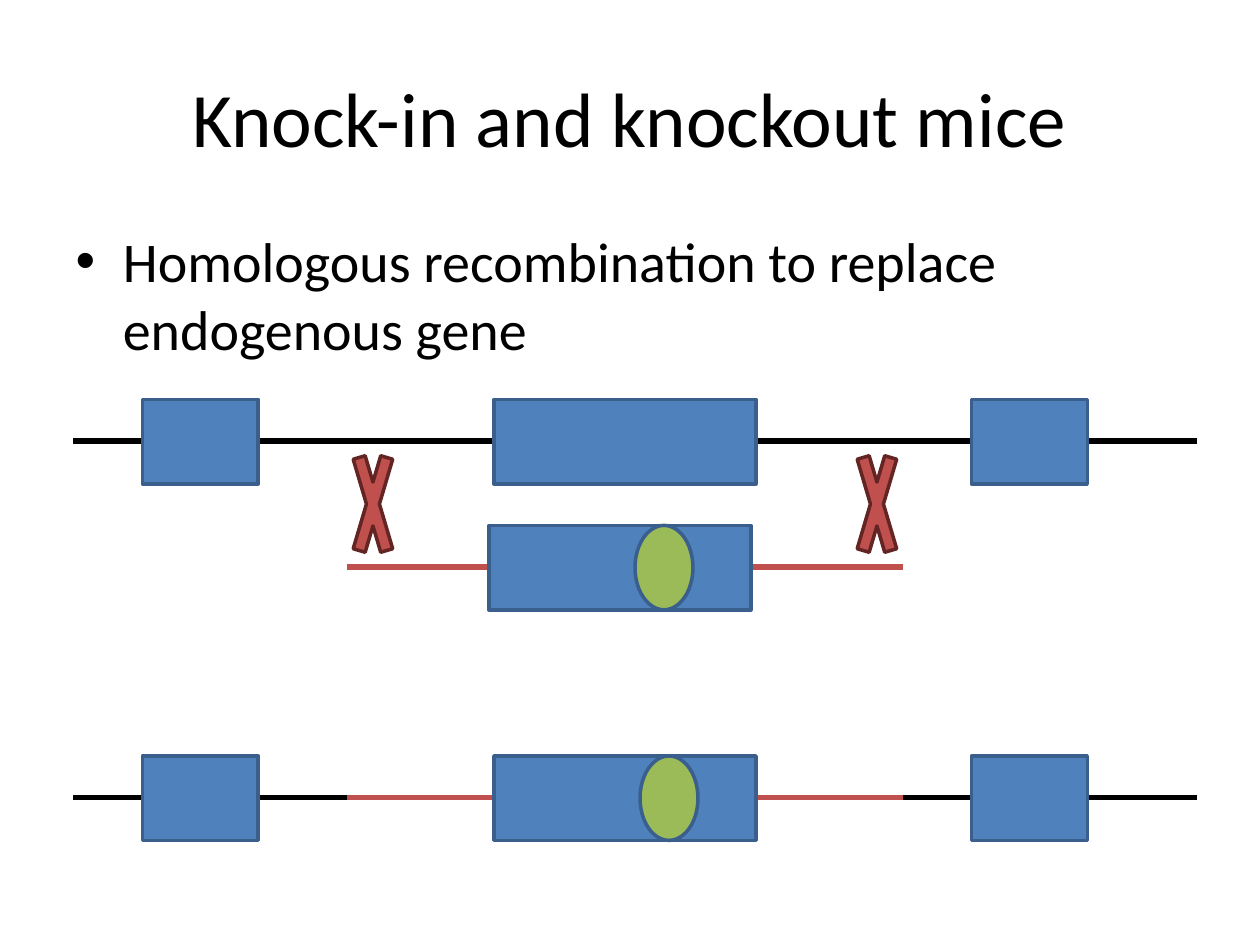
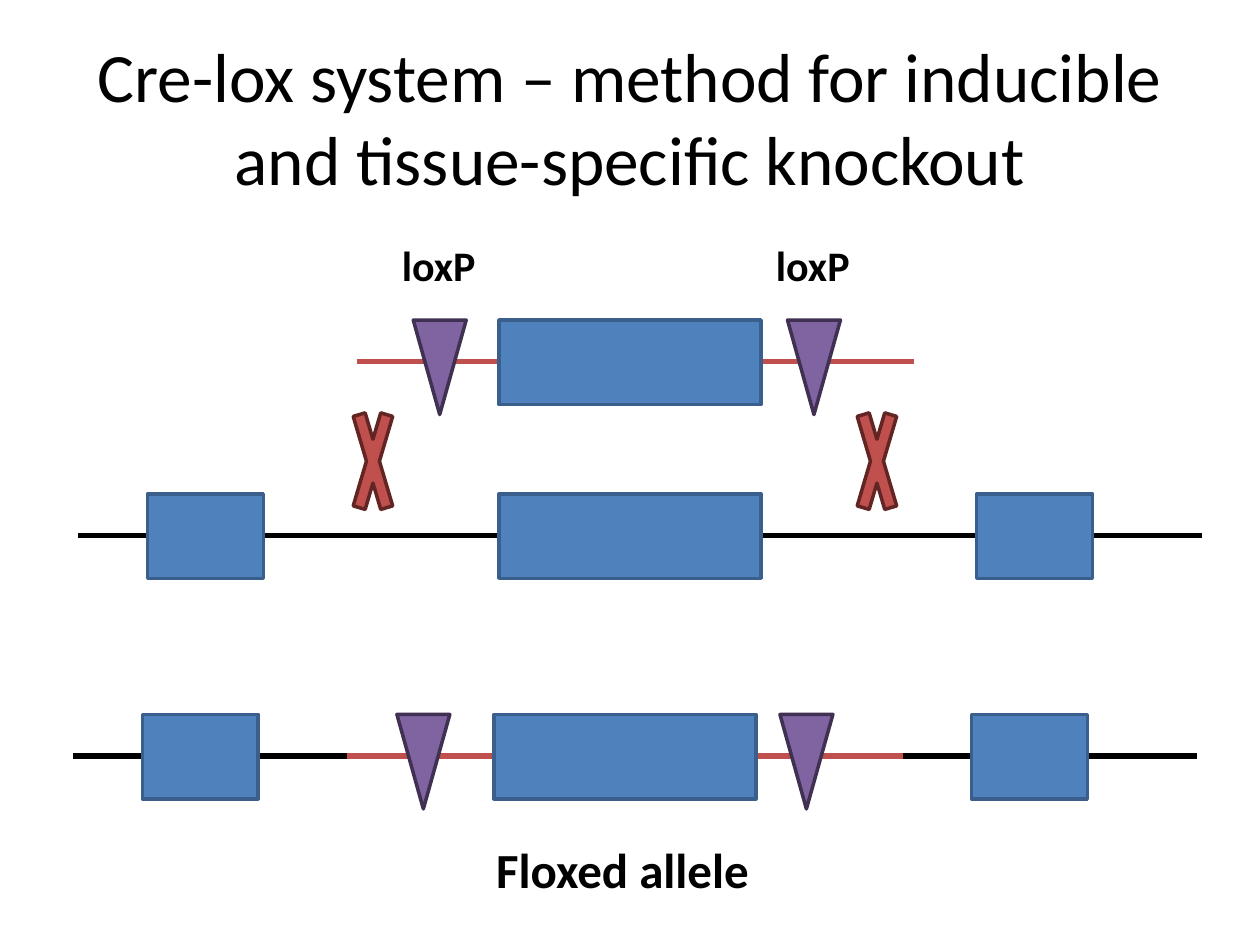
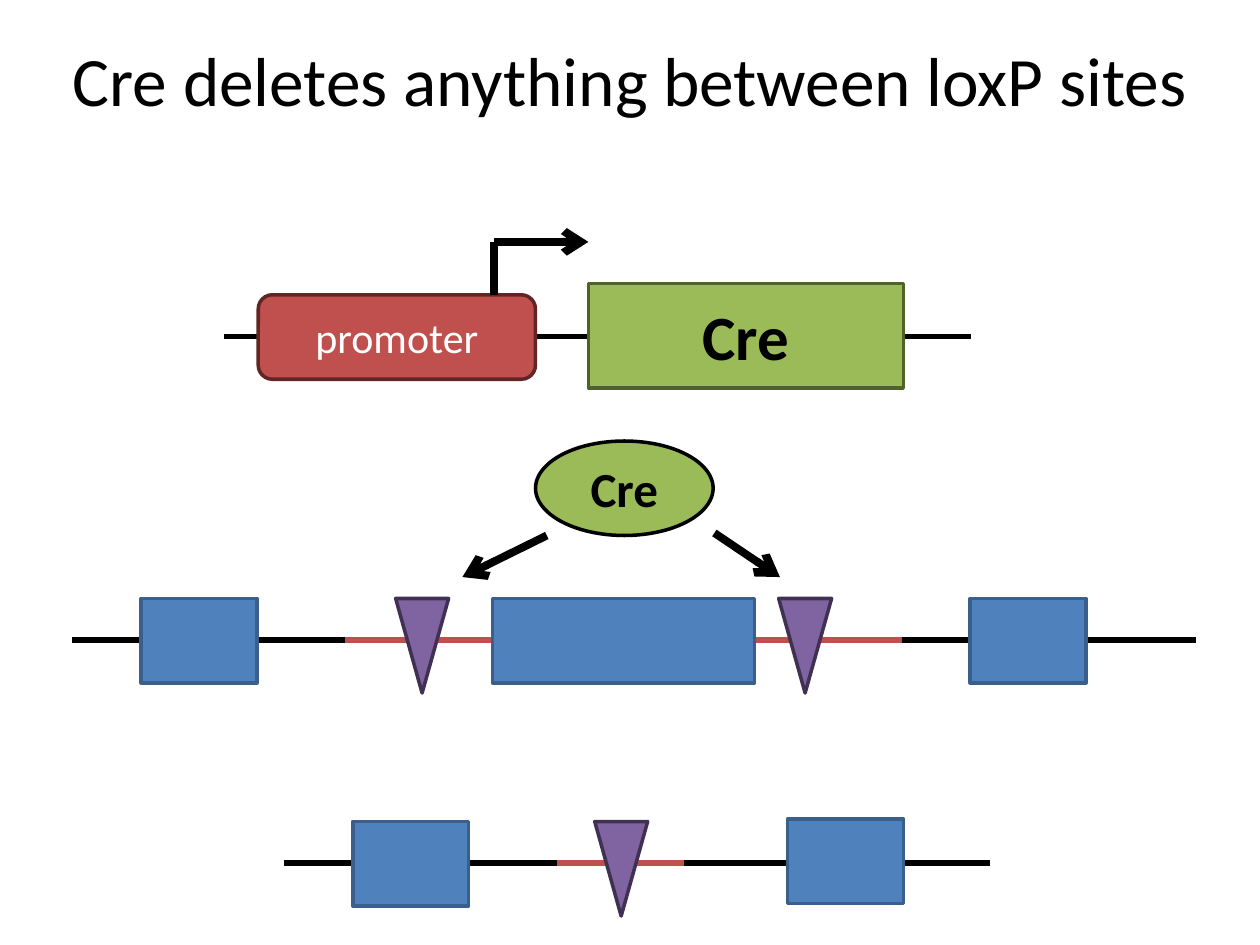
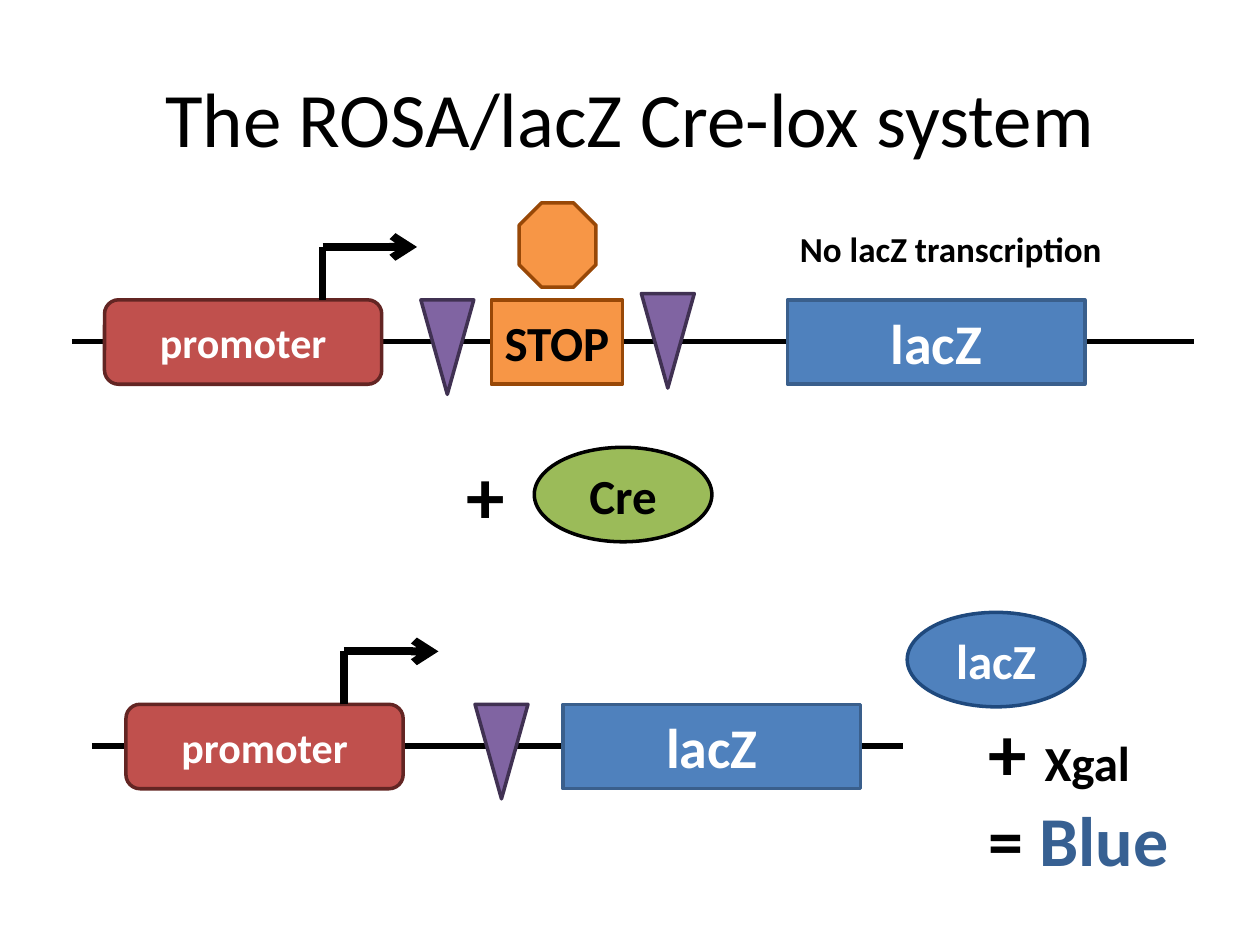
from lxml import etree
from pptx import Presentation
from pptx.dml.color import RGBColor
from pptx.enum.shapes import MSO_CONNECTOR, MSO_SHAPE as SHAPE
from pptx.enum.text import MSO_ANCHOR, MSO_AUTO_SIZE, PP_ALIGN
from pptx.oxml.ns import qn
from pptx.util import Inches, Pt

FONT = "Calibri"
COLORS = {
    "black": "000000", "white": "FFFFFF", "navy": "1F497D", "result": "376092",
    "gene": "4F81BD", "gene_line": "3A5F8C",
    "green": "9BBB59", "green_line": "4F6228",
    "red": "C0504D", "red_line": "632523",
    "lox": "8064A2", "lox_line": "403152",
    "stop": "F79646", "stop_line": "984807",
}
BOX_H = 0.67
HALF_H = 0.33
EXON_W = 0.92
GENE_W = 2.08
LACZ_W = 2.36


def rgb(name):
    """Look a colour up by name."""
    return RGBColor.from_string(COLORS[name])


def style_run(r, size, color="black", bold=False):
    """Give a run its font, size, colour and weight."""
    r.font.name, r.font.size, r.font.bold = FONT, Pt(size), bold
    r.font.color.rgb = rgb(color)


def add_shape(s, kind, x, y, w, h, color, line=None, text="", size=28, ink="black", bold=True):
    """Add a filled preset shape with optional centred text."""
    sp = s.shapes.add_shape(kind, Inches(x), Inches(y), Inches(w), Inches(h))
    sp.shadow.inherit = False
    sp.fill.solid()
    sp.fill.fore_color.rgb = rgb(color)
    sp.line.color.rgb = rgb(line or f"{color}_line")
    sp.line.width = Pt(2)
    if text:
        tf = sp.text_frame
        tf.text = text
        tf.vertical_anchor = MSO_ANCHOR.MIDDLE
        p = tf.paragraphs[0]
        p.alignment = PP_ALIGN.CENTER
        style_run(p.runs[0], size, ink, bold)


def add_line(s, x1, y1, x2, y2, color="black", width=3, arrow=False):
    """Add a straight line, with an arrowhead at its end if asked."""
    cn = s.shapes.add_connector(MSO_CONNECTOR.STRAIGHT, Inches(x1), Inches(y1), Inches(x2), Inches(y2))
    cn.line.color.rgb = rgb(color)
    cn.line.width = Pt(width)
    if arrow:
        etree.SubElement(cn.line._get_or_add_ln(), qn("a:tailEnd"), type="arrow")
    etree.SubElement(cn._element.spPr, qn("a:effectLst"))


def add_label(s, x, y, w, h, *rows):
    """Add bold unwrapped text; each row is a list of (text, size, colour)."""
    tf = s.shapes.add_textbox(Inches(x), Inches(y), Inches(w), Inches(h)).text_frame
    tf.word_wrap = False
    tf.auto_size = MSO_AUTO_SIZE.SHAPE_TO_FIT_TEXT
    for i, row in enumerate(rows):
        p = tf.add_paragraph() if i else tf.paragraphs[0]
        for text, size, color in row:
            r = p.add_run()
            r.text = text
            style_run(r, size, color, True)


def add_slide(prs, title, size=44, box=(0.5, 0.3, 9, 1.25), layout=5):
    """Add a slide and place its title."""
    s = prs.slides.add_slide(prs.slide_layouts[layout])
    sp = s.shapes.title
    sp.left, sp.top, sp.width, sp.height = map(Inches, box)
    tf = sp.text_frame
    tf.text = title
    tf.auto_size = MSO_AUTO_SIZE.NONE
    tf.vertical_anchor = MSO_ANCHOR.MIDDLE
    tf.paragraphs[0].alignment = PP_ALIGN.CENTER
    style_run(tf.paragraphs[0].runs[0], size)
    return s


def exon(s, x, y, w=EXON_W):
    """Draw a coding box centred on the strand at height y."""
    add_shape(s, SHAPE.RECTANGLE, x, y - HALF_H, w, BOX_H, "gene")


def lox_site(s, x, y):
    """Draw a loxP triangle on the strand at height y."""
    add_shape(s, SHAPE.FLOWCHART_MERGE, x, y - HALF_H, 0.42, 0.75, "lox")


def lacz_gene(s, x, y):
    """Draw the lacZ gene on the strand at height y."""
    add_shape(s, SHAPE.RECTANGLE, x, y - HALF_H, LACZ_W, BOX_H, "gene", text="lacZ", size=32, ink="white")


def oval(s, x, y, text, color, line, ink="black"):
    """Draw a protein as a labelled oval."""
    add_shape(s, SHAPE.OVAL, x, y, 1.41, 0.75, color, line, text, ink=ink)


def donor(s, x, y, gene_dx=1.13, lox_dx=(), mutated=False):
    """Draw the red targeting construct from x, with its gene and marks."""
    add_line(s, x, y, x + 4.42, y, "red")
    exon(s, x + gene_dx, y, GENE_W)
    if mutated:
        add_shape(s, SHAPE.OVAL, x + gene_dx + 1.16, y - HALF_H, 0.46, BOX_H, "green", "gene_line")
    for dx in lox_dx:
        lox_site(s, x + dx, y)


def allele(s, x, y, targeted=True, **marks):
    """Draw the chromosome from x, with the construct inserted if targeted."""
    add_line(s, x, y, x + 8.92, y)
    if targeted:
        donor(s, x + 2.17, y, 1.17, **marks)
    else:
        exon(s, x + 3.34, y, GENE_W)
    for dx in (0.55, 7.13):
        exon(s, x + dx, y)


def crossovers(s, y):
    """Draw the two recombination crosses."""
    for x in (2.75, 6.75):
        add_shape(s, SHAPE.MATH_MULTIPLY, x, y, 0.42, 1.42, "red")


def promoter(s, x, y, start_dx=1.73, bold=True):
    """Draw a promoter on the strand with its transcription start arrow."""
    top, start = y - HALF_H, x + start_dx
    add_shape(s, SHAPE.ROUNDED_RECTANGLE, x, top, 2.2, BOX_H, "red",
              text="promoter", size=24, ink="white", bold=bold)
    add_line(s, start, top, start, top - 0.42, width=4.5)
    add_line(s, start, top - 0.42, start + 0.75, top - 0.42, width=4.5, arrow=True)


def knock_in_slide(prs):
    """Show homologous recombination."""
    s = add_slide(prs, "Knock-in and knockout mice", layout=1)
    body = s.placeholders[1]
    body.left, body.top, body.width, body.height = map(Inches, (0.5, 1.75, 9, 4.95))
    body.text_frame.text = "Homologous recombination to replace endogenous gene"
    style_run(body.text_frame.paragraphs[0].runs[0], 32)
    allele(s, 0.58, 3.5, targeted=False)
    donor(s, 2.75, 4.5, mutated=True)
    crossovers(s, 3.29)
    allele(s, 0.58, 6.33, mutated=True)


def cre_lox_slide(prs):
    """Show how a floxed allele is made."""
    s = add_slide(prs, "Cre-lox system – method for inducible and tissue-specific knockout", 39.6)
    allele(s, 0.62, 4.25, targeted=False)
    donor(s, 2.83, 2.87, lox_dx=(0.45, 3.42))
    crossovers(s, 2.95)
    allele(s, 0.58, 6, lox_dx=(0.4, 3.44))
    for x in (3.09, 6.06):
        add_label(s, x, 1.85, 0.79, 0.5, [("loxP", 24, "black")])
    add_label(s, 3.84, 6.61, 2.23, 0.57, [("Floxed allele", 28, "black")])


def deletion_slide(prs):
    """Show Cre cutting out the gene between loxP sites."""
    s = add_slide(prs, "Cre deletes anything between loxP sites", 39.6, (0, 0, 10, 1.25))
    allele(s, 0.57, 5.08, lox_dx=(0.4, 3.44))
    add_line(s, 1.78, 2.67, 7.71, 2.67)
    add_shape(s, SHAPE.RECTANGLE, 4.67, 2.25, 2.5, 0.83, "green", text="Cre", size=36)
    promoter(s, 2.05, 2.67, 1.87, bold=False)
    oval(s, 4.25, 3.5, "Cre", "green", "black")
    add_line(s, 5.67, 4.23, 6.19, 4.58, width=4.5, arrow=True)
    add_line(s, 4.34, 4.25, 3.67, 4.58, width=4.5, arrow=True)
    add_line(s, 2.25, 6.85, 7.86, 6.85)
    add_line(s, 4.42, 6.85, 5.43, 6.85, "red")
    exon(s, 2.8, 6.85)
    exon(s, 6.25, 6.83)
    lox_site(s, 4.72, 6.85)


def reporter_slide(prs):
    """Show the lacZ reporter before and after Cre."""
    s = add_slide(prs, "The ROSA/lacZ Cre-lox system")
    add_line(s, 0.57, 2.71, 9.48, 2.71)
    add_shape(s, SHAPE.RECTANGLE, 3.9, 2.38, 1.04, BOX_H, "stop", text="STOP")
    lacz_gene(s, 6.25, 2.71)
    lox_site(s, 3.34, 2.71)
    lox_site(s, 5.09, 2.66)
    promoter(s, 0.83, 2.71)
    add_shape(s, SHAPE.OCTAGON, 4.12, 1.61, 0.61, BOX_H, "stop")
    add_label(s, 6.25, 1.76, 2.61, 0.44, [("No lacZ transcription", 20, "black")])
    oval(s, 4.24, 3.55, "Cre", "green", "black")
    add_label(s, 3.6, 3.5, 0.51, 0.84, [("+", 44, "black")])

    add_line(s, 0.73, 5.92, 7.17, 5.92)
    lacz_gene(s, 4.47, 5.92)
    lox_site(s, 3.77, 5.92)
    promoter(s, 1, 5.92)
    oval(s, 7.2, 4.86, "lacZ", "gene", "navy", "white")
    add_label(s, 7.75, 5.54, 1.64, 1.51,
              [("+ ", 44, "black"), ("Xgal", 28, "black")],
              [("= ", 40, "black"), ("Blue", 40, "result")])


def main():
    """Build and save the slides."""
    prs = Presentation()
    prs.slide_width, prs.slide_height = Inches(10), Inches(7.5)
    for build in (knock_in_slide, cre_lox_slide, deletion_slide, reporter_slide):
        build(prs)
    prs.save("out.pptx")


if __name__ == "__main__":
    main()
